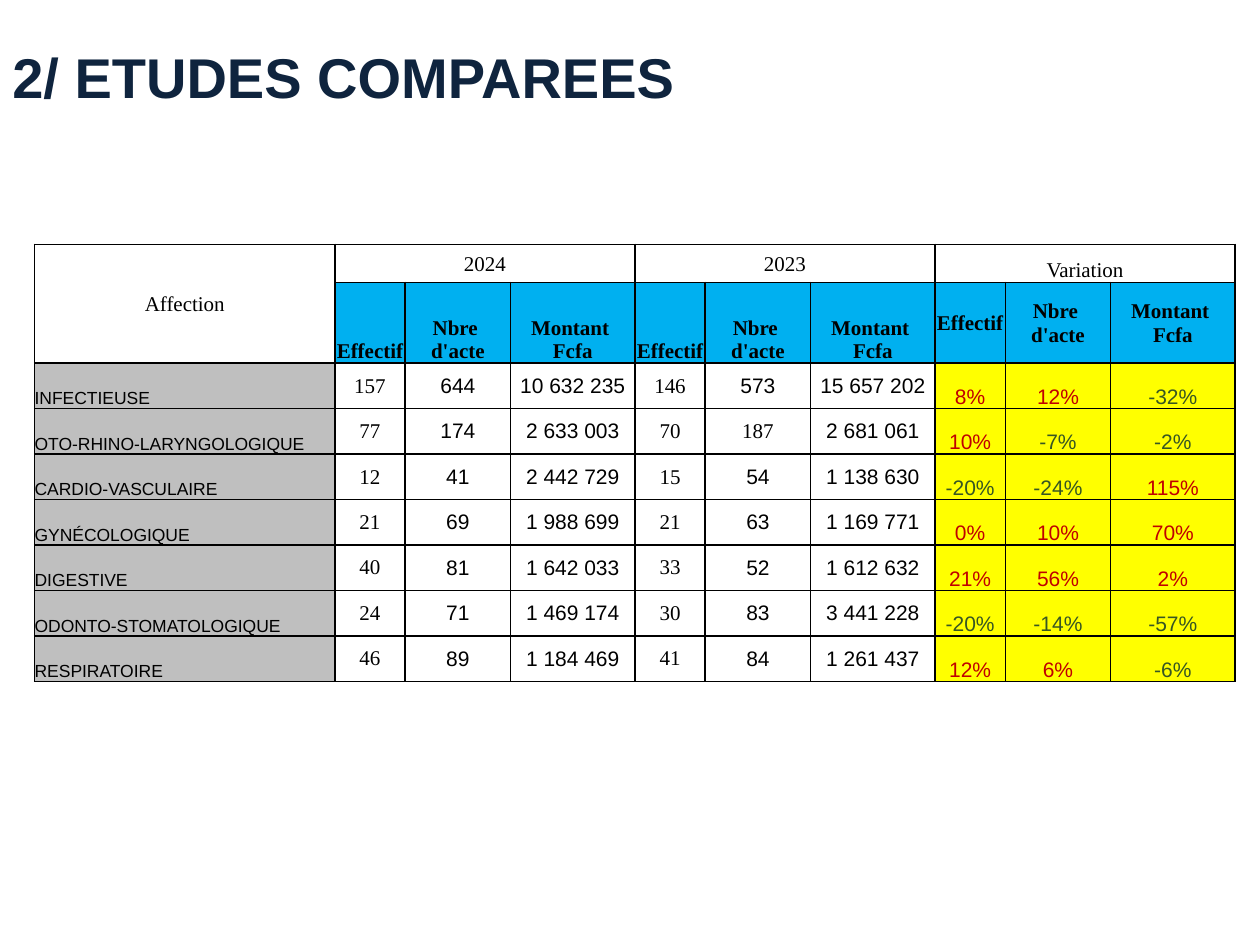
import dataclasses

import lxml.etree
import pptx
import pptx.dml.color
import pptx.enum.text
import pptx.oxml.ns
import pptx.util

ANCHOR = pptx.enum.text.MSO_ANCHOR
ALIGN = pptx.enum.text.PP_ALIGN


@dataclasses.dataclass(frozen=True)
class Theme:
    sans: str = "Arial"
    serif: str = "Times New Roman"
    title_size: int = 32
    body_size: int = 12
    label_size: int = 10
    border_width: float = 1
    navy: str = "0F243E"
    black: str = "000000"
    blue: str = "00B0F0"
    grey: str = "BFBFBF"
    yellow: str = "FFFF00"
    rise: str = "C00000"
    fall: str = "375623"


THEME = Theme()
MEASURES = ("Effectif", "Nbre \nd'acte", "Montant \nFcfa")
COLUMN_WEIGHTS = (2.39,) + (0.56, 0.84, 0.99) * 3
ROW_WEIGHTS = (0.3, 0.64) + (0.36,) * 7
# Affection, figures for 2024, figures for 2023
CLAIMS = (
    ("INFECTIEUSE", (157, 644, 10632235), (146, 573, 15657202)),
    ("OTO-RHINO-LARYNGOLOGIQUE", (77, 174, 2633003), (70, 187, 2681061)),
    ("CARDIO-VASCULAIRE", (12, 41, 2442729), (15, 54, 1138630)),
    ("GYNÉCOLOGIQUE", (21, 69, 1988699), (21, 63, 1169771)),
    ("DIGESTIVE", (40, 81, 1642033), (33, 52, 1612632)),
    ("ODONTO-STOMATOLOGIQUE", (24, 71, 1469174), (30, 83, 3441228)),
    ("RESPIRATOIRE", (46, 89, 1184469), (41, 84, 1261437)),
)
SERIF_FIGURE = ("OTO-RHINO-LARYNGOLOGIQUE", 5)


def apply(target, values):
    for name, value in values.items():
        setattr(target, name, value)


class SlideBuilder:
    """Adds elements to one slide; lengths are percentages of the slide's size."""

    def __init__(self, presentation, theme):
        self.presentation = presentation
        self.theme = theme
        self.slide = presentation.slides.add_slide(presentation.slide_layouts[6])

    def box(self, left, top, width, height):
        across = self.presentation.slide_width / 100
        down = self.presentation.slide_height / 100
        return (int(left * across), int(top * down), int(width * across), int(height * down))

    def set_text(self, frame, text, align=ALIGN.CENTER, color=None, **font):
        frame.text = text
        values = {"name": self.theme.serif, "bold": False, **font}
        values["size"] = pptx.util.Pt(values.get("size", self.theme.body_size))
        for paragraph in frame.paragraphs:
            paragraph.alignment = align
            for run in paragraph.runs:
                apply(run.font, values)
                run.font.color.rgb = pptx.dml.color.RGBColor.from_string(color or self.theme.black)

    def title(self, text, box):
        frame = self.slide.shapes.add_textbox(*self.box(*box)).text_frame
        apply(frame, {"word_wrap": True, "vertical_anchor": ANCHOR.MIDDLE})
        self.set_text(frame, text, ALIGN.LEFT, self.theme.navy,
                      name=self.theme.sans, size=self.theme.title_size, bold=True)

    def table(self, box, column_weights, row_weights):
        left, top, width, height = self.box(*box)
        table = self.slide.shapes.add_table(
            len(row_weights), len(column_weights), left, top, width, height).table
        apply(table, {"first_row": False, "horz_banding": False})
        for column, weight in zip(table.columns, column_weights):
            column.width = int(width * weight / sum(column_weights))
        for row, weight in zip(table.rows, row_weights):
            row.height = int(height * weight / sum(row_weights))
        for cell in table.iter_cells():
            self.border(cell)
            cell.fill.background()
        return table

    def border(self, cell):
        properties = cell._tc.get_or_add_tcPr()
        name = pptx.oxml.ns.qn
        for side in ("a:lnL", "a:lnR", "a:lnT", "a:lnB"):
            line = lxml.etree.SubElement(
                properties, name(side), w=str(pptx.util.Pt(self.theme.border_width)))
            fill = lxml.etree.SubElement(line, name("a:solidFill"))
            lxml.etree.SubElement(fill, name("a:srgbClr"), val=self.theme.black)

    def cell(self, cell, text, fill=None, anchor=ANCHOR.MIDDLE, inset=0, **style):
        margin = pptx.util.Inches(inset)
        apply(cell, {"margin_left": margin, "margin_right": margin, "margin_top": margin,
                     "margin_bottom": 0, "vertical_anchor": anchor})
        if fill:
            cell.fill.solid()
            cell.fill.fore_color.rgb = pptx.dml.color.RGBColor.from_string(fill)
        self.set_text(cell.text_frame, text, **style)


def fill_header(builder, table):
    table.cell(0, 0).merge(table.cell(1, 0))
    builder.cell(table.cell(0, 0), "Affection", inset=0.01)
    groups = (("2024", ANCHOR.MIDDLE, ANCHOR.BOTTOM),
              ("2023", ANCHOR.MIDDLE, ANCHOR.BOTTOM),
              ("Variation", ANCHOR.BOTTOM, ANCHOR.MIDDLE))
    for group, (heading, heading_anchor, measure_anchor) in enumerate(groups):
        first = 1 + group * len(MEASURES)
        table.cell(0, first).merge(table.cell(0, first + len(MEASURES) - 1))
        builder.cell(table.cell(0, first), heading, anchor=heading_anchor, inset=0.01)
        for column, measure in enumerate(MEASURES, first):
            builder.cell(table.cell(1, column), measure, builder.theme.blue,
                         measure_anchor, inset=0.01, bold=True)


def fill_claims(builder, table):
    theme = builder.theme
    for row, (affection, current, previous) in enumerate(CLAIMS, 2):
        builder.cell(table.cell(row, 0), affection, theme.grey, ANCHOR.BOTTOM,
                     align=ALIGN.LEFT, name=theme.sans, size=theme.label_size)
        for column, figure in enumerate(current + previous, 1):
            serif = column in (1, 4) or (affection, column) == SERIF_FIGURE
            builder.cell(table.cell(row, column), f"{figure:,}".replace(",", " "),
                         name=theme.serif if serif else theme.sans)
        for column, (new, old) in enumerate(zip(current, previous), 7):
            builder.cell(table.cell(row, column), f"{new / old - 1:.0%}", theme.yellow,
                         ANCHOR.BOTTOM, name=theme.sans,
                         color=theme.fall if new < old else theme.rise)


def main():
    presentation = pptx.Presentation()
    apply(presentation, {"slide_width": pptx.util.Inches(10),
                         "slide_height": pptx.util.Inches(7.5)})
    builder = SlideBuilder(presentation, THEME)
    builder.title("2/ ETUDES COMPAREES", (0, 0.27, 100, 15.6))
    table = builder.table((2.75, 25.87, 95.3, 46.27), COLUMN_WEIGHTS, ROW_WEIGHTS)
    fill_header(builder, table)
    fill_claims(builder, table)
    presentation.save("out.pptx")


if __name__ == "__main__":
    main()
